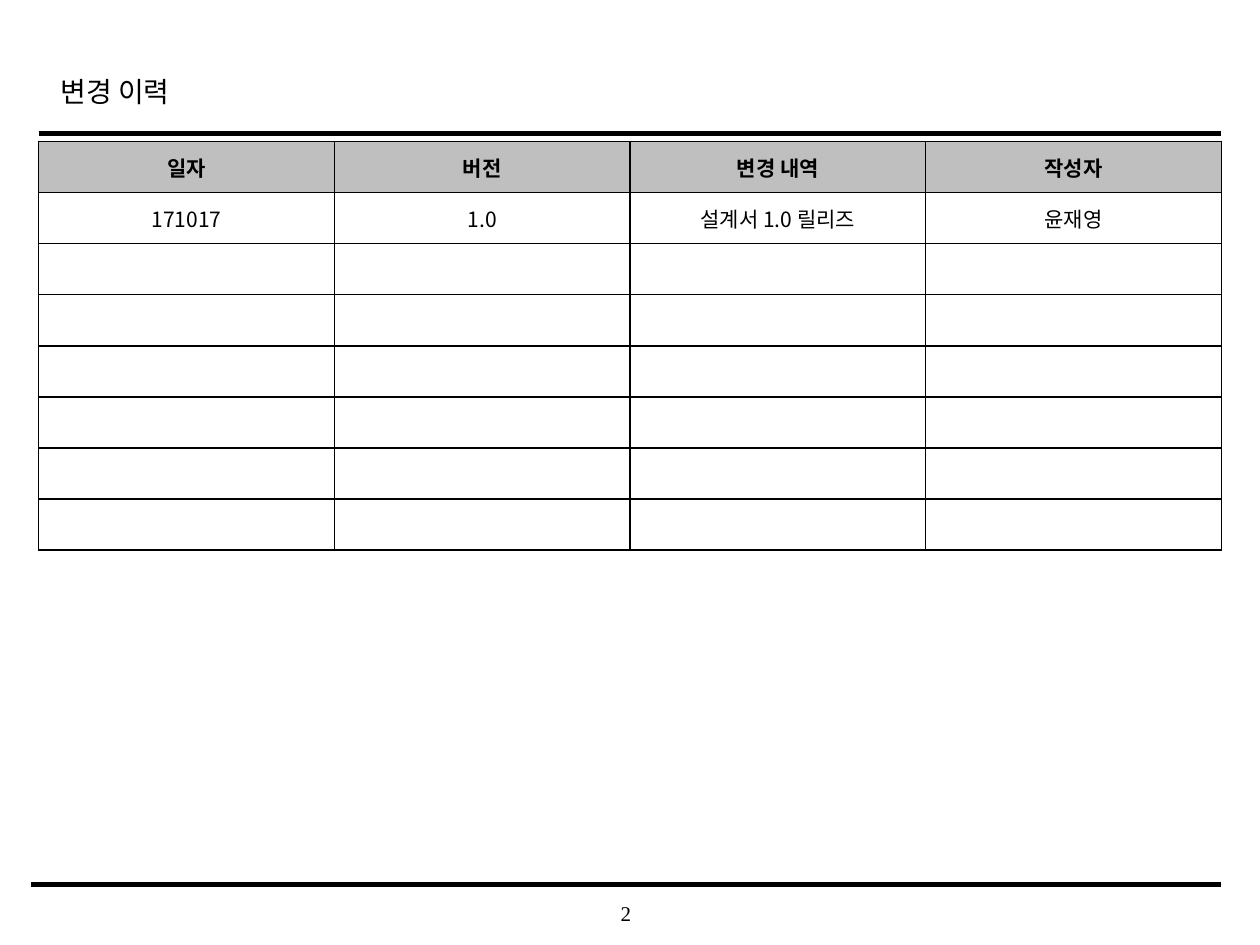
from lxml import etree
from pptx import Presentation
from pptx import util as u
from pptx.dml.color import RGBColor
from pptx.enum import shapes, text
from pptx.oxml.ns import qn

COLORS = {"ink": "000000", "header": "BFBFBF", "cell": "FFFFFF"}
SERIF = "Times New Roman"
SANS = "Noto Sans CJK KR"
ROW_COUNT = 8
HISTORY = [
    ["일자", "버전", "변경 내역", "작성자"],
    ["171017", "1.0", "설계서 1.0 릴리즈", "윤재영"],
]


def color(name):
    return RGBColor.from_string(COLORS[name])


def format_paragraph(paragraph, font_name, size, bold=False,
                     align=text.PP_ALIGN.CENTER):
    paragraph.alignment = align
    font = paragraph.font
    font.name, font.size, font.bold = font_name, u.Pt(size), bold
    font.color.rgb = color("ink")


def add_title(slide, words):
    title = slide.shapes.title
    title.left, title.top = u.Cm(0.97), u.Cm(1.14)
    title.width, title.height = u.Cm(19.18), u.Cm(1.27)
    frame = title.text_frame
    frame.text = words
    frame.vertical_anchor = text.MSO_ANCHOR.MIDDLE
    paragraph = frame.paragraphs[0]
    format_paragraph(paragraph, SERIF, 16, align=text.PP_ALIGN.LEFT)
    paragraph.line_spacing = 1.2


def add_rule(slide, left, right, y, weight):
    rule = slide.shapes.add_connector(
        shapes.MSO_CONNECTOR.STRAIGHT, u.Cm(left), u.Cm(y), u.Cm(right), u.Cm(y))
    rule.line.color.rgb = color("ink")
    rule.line.width = u.Pt(weight)
    etree.SubElement(rule._element.spPr, qn("a:effectLst"))


def add_page_number(slide, number):
    box = slide.shapes.add_textbox(u.Cm(9.98), u.Cm(17.98), u.Cm(5.28), u.Cm(0.84))
    frame = box.text_frame
    frame.word_wrap = True
    frame.margin_left = frame.margin_right = 0
    frame.margin_top = frame.margin_bottom = 0
    frame.vertical_anchor = text.MSO_ANCHOR.MIDDLE
    frame.text = number
    format_paragraph(frame.paragraphs[0], SERIF, 12)


def set_borders(cell, weight):
    properties = cell._tc.get_or_add_tcPr()
    # Border lines come before the fill in the cell properties
    for index, side in enumerate(("lnL", "lnR", "lnT", "lnB")):
        line = etree.Element(qn(f"a:{side}"), w=str(u.Pt(weight)))
        fill = etree.SubElement(line, qn("a:solidFill"))
        etree.SubElement(fill, qn("a:srgbClr"), val=COLORS["ink"])
        properties.insert(index, line)


def fill_cell(cell, words, header):
    cell.fill.solid()
    cell.fill.fore_color.rgb = color("header" if header else "cell")
    cell.vertical_anchor = text.MSO_ANCHOR.MIDDLE
    set_borders(cell, 1)
    if words:
        cell.text = words
        format_paragraph(cell.text_frame.paragraphs[0], SANS, 12, bold=header)
    else:
        # Keeps empty rows from growing
        paragraph = cell.text_frame.paragraphs[0]
        etree.SubElement(paragraph._p, qn("a:endParaRPr"), sz="1200")


def add_history_table(slide):
    column_count = len(HISTORY[0])
    table = slide.shapes.add_table(
        ROW_COUNT, column_count, u.Cm(0.78), u.Cm(2.85),
        u.Cm(23.84), u.Cm(8.24)).table
    for row_index in range(ROW_COUNT):
        words = HISTORY[row_index] if row_index < len(HISTORY) else [""] * column_count
        for column_index, word in enumerate(words):
            fill_cell(table.cell(row_index, column_index), word, row_index == 0)


def main():
    presentation = Presentation()
    presentation.slide_width, presentation.slide_height = u.Cm(25.4), u.Cm(19.05)
    slide = presentation.slides.add_slide(presentation.slide_layouts[5])

    # Frame of the page
    add_page_number(slide, "2")
    add_rule(slide, 0.78, 24.62, 2.69, 2.5)
    add_rule(slide, 0.63, 24.62, 17.83, 3)

    # Content
    add_title(slide, "변경 이력")
    add_history_table(slide)
    presentation.save("out.pptx")


main()
